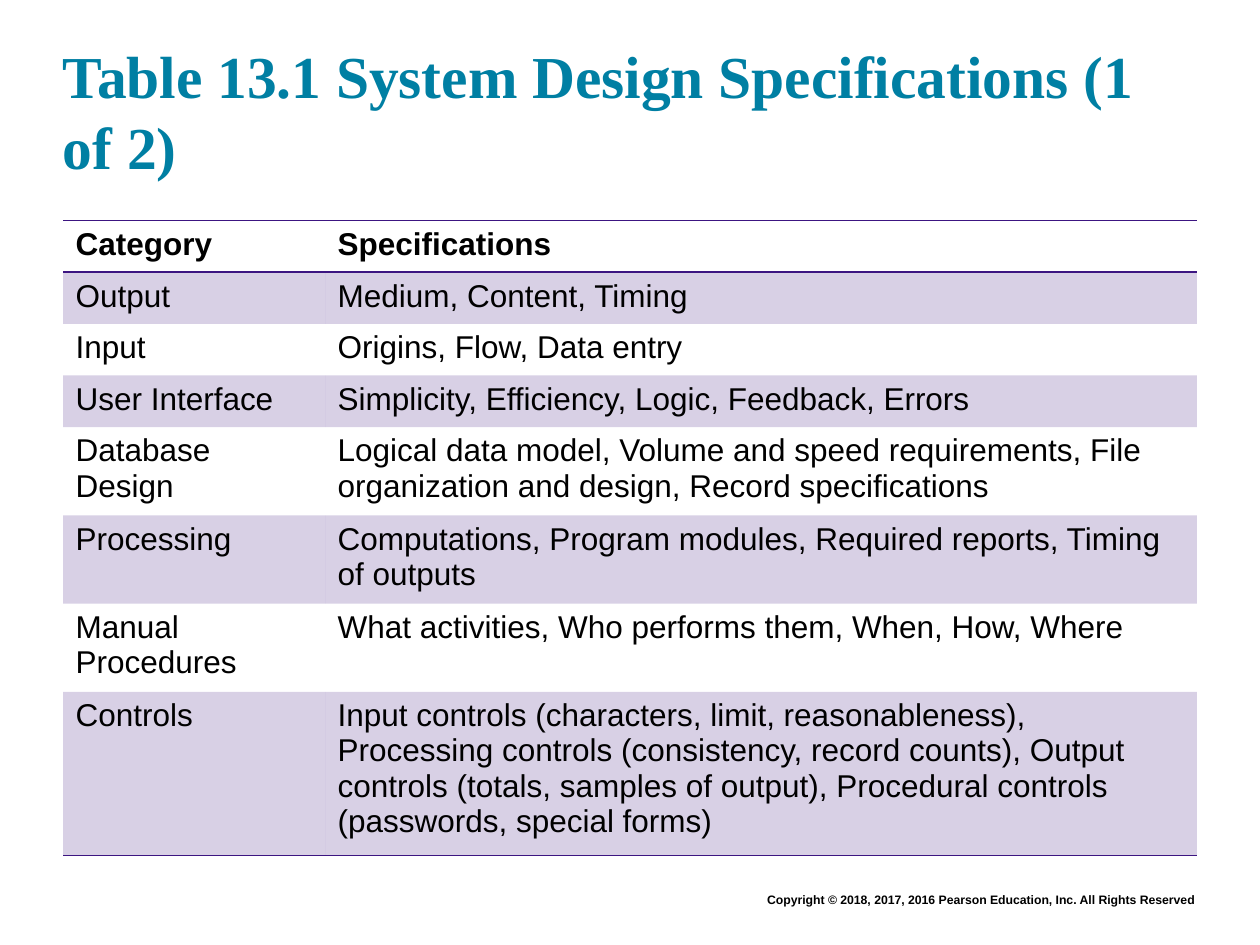
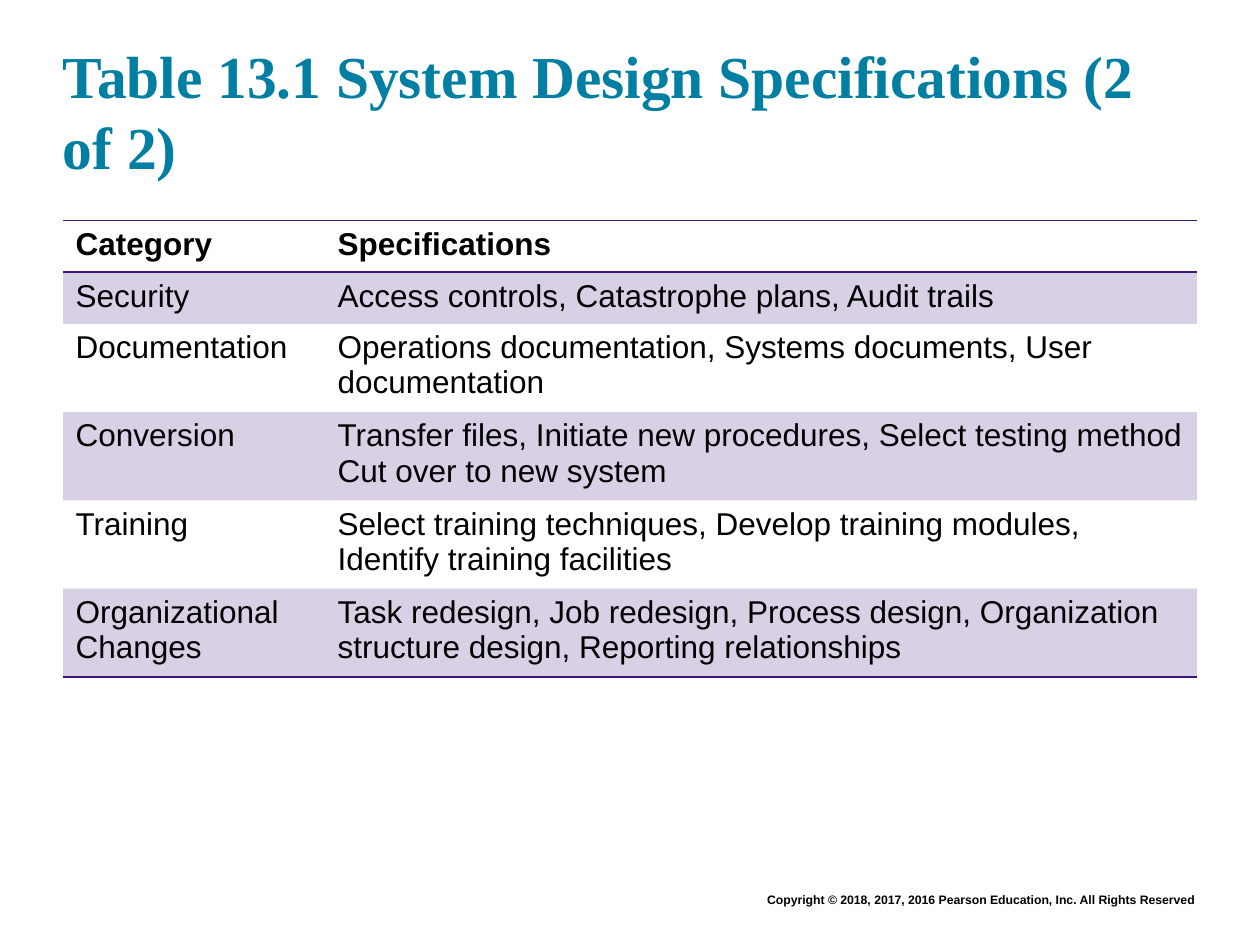
from lxml import etree
from pptx import Presentation
from pptx.dml.color import RGBColor
from pptx.enum.text import MSO_ANCHOR, PP_ALIGN
from pptx.oxml.ns import qn
from pptx.util import Inches, Pt

BOTTOM = MSO_ANCHOR.BOTTOM
LEFT, RIGHT = PP_ALIGN.LEFT, PP_ALIGN.RIGHT

BLACK, TEAL, PURPLE = "000000", "007FA3", "3C1581"
BAND_ALPHA = 20000
BODY_FONT, TITLE_FONT = "Arial", "Times New Roman"
NO_GRID_STYLE = "{2D5ABB26-0587-4C30-8999-92F81FD0307C}"

TITLE_BOX = (0.5, 0.24, 9, 1.2)
FOOTER_BOX = (1.75, 7.03, 7.83, 0.22)
TABLE_LEFT, TABLE_TOP = 0.5, 1.75
COLUMN_WIDTHS = (2.08, 6.92)
ROW_HEIGHT = 0.41

COPYRIGHT = "Copyright © 2018, 2017, 2016 Pearson Education, Inc. All Rights Reserved"
HEADER = ("Category", "Specifications")
TABLES = [
    ("Table 13.1 System Design Specifications (1 of 2)", [
        ("Output", "Medium, Content, Timing"),
        ("Input", "Origins, Flow, Data entry"),
        ("User Interface", "Simplicity, Efficiency, Logic, Feedback, Errors"),
        ("Database Design", "Logical data model, Volume and speed requirements, "
         "File organization and design, Record specifications"),
        ("Processing", "Computations, Program modules, Required reports, "
         "Timing of outputs"),
        ("Manual Procedures", "What activities, Who performs them, When, How, Where"),
        ("Controls", "Input controls (characters, limit, reasonableness), "
         "Processing controls (consistency, record counts), "
         "Output controls (totals, samples of output), "
         "Procedural controls (passwords, special forms)"),
    ]),
    ("Table 13.1 System Design Specifications (2 of 2)", [
        ("Security", "Access controls, Catastrophe plans, Audit trails"),
        ("Documentation", "Operations documentation, Systems documents, "
         "User documentation"),
        ("Conversion", "Transfer files, Initiate new procedures, "
         "Select testing method\nCut over to new system"),
        ("Training", "Select training techniques, Develop training modules, "
         "Identify training facilities"),
        ("Organizational Changes", "Task redesign, Job redesign, Process design, "
         "Organization structure design, Reporting relationships"),
    ]),
]


def color(hex_code):
    """Turn a hex string into a colour."""
    return RGBColor.from_string(hex_code)


def write(text_frame, text, size, font_name, hex_code, bold, alignment=LEFT):
    """Write each line of the text as a paragraph with one run."""
    for index, line in enumerate(text.split("\n")):
        paragraph = text_frame.add_paragraph() if index else text_frame.paragraphs[0]
        paragraph.alignment = alignment
        run = paragraph.add_run()
        run.text = line
        run.font.size = Pt(size)
        run.font.name = font_name
        run.font.bold = bold
        run.font.color.rgb = color(hex_code)


def add_text_box(slide, box):
    """Add a wrapping text box and return its text frame."""
    text_frame = slide.shapes.add_textbox(*map(Inches, box)).text_frame
    text_frame.word_wrap = True
    return text_frame


def add_title(slide, box, title):
    """Add the slide title, standing on the bottom of its box."""
    text_frame = add_text_box(slide, box)
    text_frame.margin_left = text_frame.margin_right = 0
    text_frame.margin_top = text_frame.margin_bottom = 0
    text_frame.vertical_anchor = BOTTOM
    write(text_frame, title, 34, TITLE_FONT, TEAL, True)


def add_footer(slide, box):
    """Add the copyright line."""
    write(add_text_box(slide, box), COPYRIGHT, 7, BODY_FONT, BLACK, True, RIGHT)


def shade(cell):
    """Fill a cell with the translucent band colour."""
    cell.fill.solid()
    cell.fill.fore_color.rgb = color(PURPLE)
    fill_color = cell._tc.tcPr.find(".//" + qn("a:srgbClr"))
    etree.SubElement(fill_color, qn("a:alpha"), val=str(BAND_ALPHA))


def add_border(cell, side):
    """Draw a rule on one side of a cell, named as in a:lnT or a:lnB."""
    line = etree.Element(qn("a:ln" + side), w=str(Pt(1)))
    fill = etree.SubElement(line, qn("a:solidFill"))
    etree.SubElement(fill, qn("a:srgbClr"), val=PURPLE)
    cell._tc.get_or_add_tcPr().insert(0, line)


def add_specifications(slide, left, top, entries):
    """Add the ruled table with a bold header and alternate shaded rows."""
    rows = [HEADER, *entries]
    table = slide.shapes.add_table(
        len(rows), len(HEADER), Inches(left), Inches(top),
        Inches(sum(COLUMN_WIDTHS)), Inches(ROW_HEIGHT * len(rows))).table
    table._tbl.tblPr.find(qn("a:tableStyleId")).text = NO_GRID_STYLE
    for column, width in zip(table.columns, COLUMN_WIDTHS):
        column.width = Inches(width)
    for row_index, texts in enumerate(rows):
        table.rows[row_index].height = Inches(ROW_HEIGHT)
        is_header = row_index == 0
        for column_index, text in enumerate(texts):
            cell = table.cell(row_index, column_index)
            write(cell.text_frame, text, 18, BODY_FONT, BLACK, is_header)
            if row_index % 2:
                shade(cell)
            else:
                cell.fill.background()
            if is_header or row_index == len(rows) - 1:
                add_border(cell, "B")
            if is_header:
                add_border(cell, "T")


def add_table_slide(presentation, title, entries):
    """Add one slide with title, specification table and footer."""
    slide = presentation.slides.add_slide(presentation.slide_layouts[6])
    add_footer(slide, FOOTER_BOX)
    add_title(slide, TITLE_BOX, title)
    add_specifications(slide, TABLE_LEFT, TABLE_TOP, entries)


def main():
    """Build and save the presentation."""
    presentation = Presentation()
    presentation.slide_width = Inches(10)
    presentation.slide_height = Inches(7.5)
    for title, entries in TABLES:
        add_table_slide(presentation, title, entries)
    presentation.save("out.pptx")


if __name__ == "__main__":
    main()
